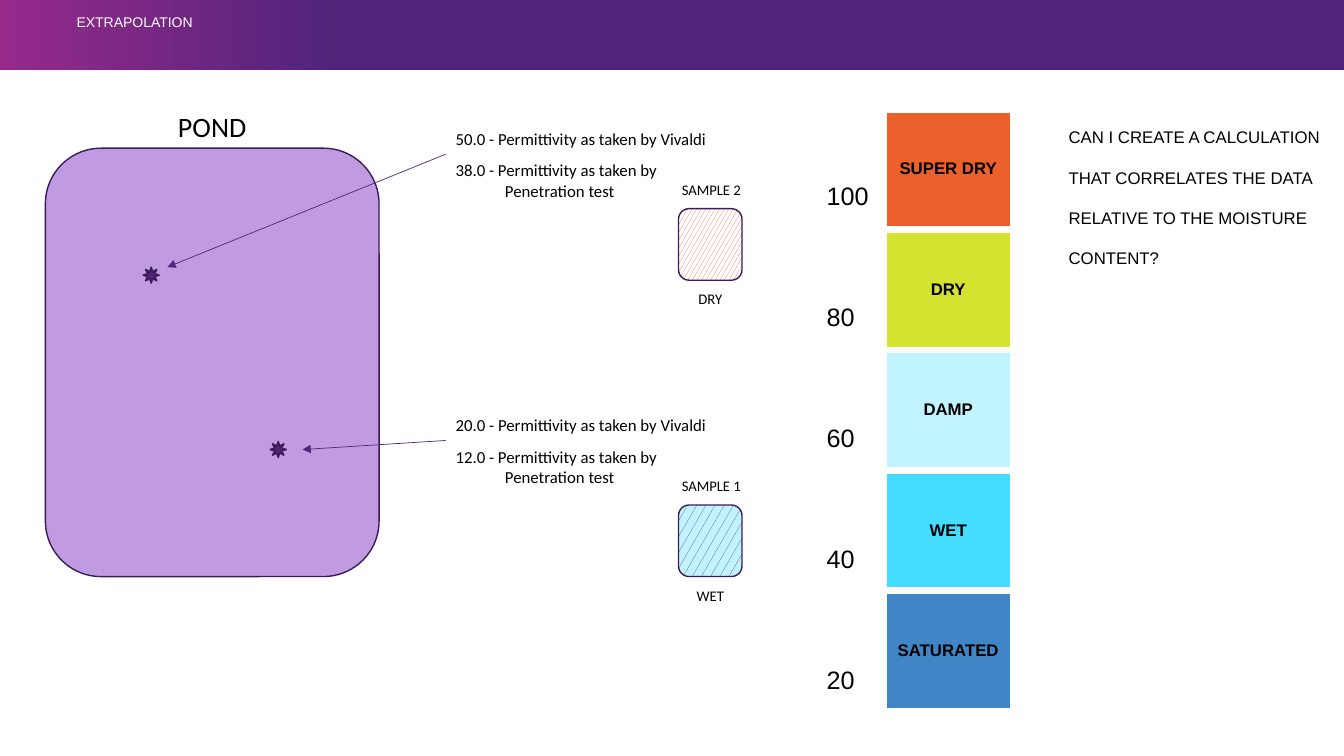
from dataclasses import dataclass

from lxml.etree import SubElement
from pptx import Presentation
from pptx.dml.color import RGBColor
from pptx.enum.dml import MSO_PATTERN as PATTERN
from pptx.enum.shapes import MSO_CONNECTOR as CONNECTOR, MSO_SHAPE as SHAPE
from pptx.enum.text import MSO_ANCHOR as ANCHOR, MSO_AUTO_SIZE as AUTO, PP_ALIGN as ALIGN
from pptx.oxml.ns import qn
from pptx.util import Inches, Pt


@dataclass(frozen=True)
class Theme:
    purple: str = "51247A"
    magenta: str = "962A8B"
    outline: str = "3C1B5A"
    pond: str = "C09BE1"
    white: str = "FFFFFF"
    black: str = "000000"
    orange: str = "EB602B"
    lime: str = "D4E230"
    pale_blue: str = "C1F3FF"
    cyan: str = "44DCFF"
    blue: str = "4085C6"
    heading: str = "Arial"
    label: str = "Calibri"
    title_size: float = 10
    small: float = 10.5
    body: float = 12
    scale: float = 18
    large: float = 20


T = Theme()


def rgb(value):
    return RGBColor.from_string(value)


def set_font(p, size, name, color=T.black, bold=False):
    p.font.size, p.font.name, p.font.bold = Pt(size), name, bold
    p.font.color.rgb = rgb(color)


def add_box(s, kind, x, y, w, h, fill=None, line=None):
    sp = s.shapes.add_shape(kind, Inches(x), Inches(y), Inches(w), Inches(h))
    sp.shadow.inherit = False
    if fill:
        sp.fill.solid()
        sp.fill.fore_color.rgb = rgb(fill)
    if line:
        sp.line.color.rgb = rgb(line)
        sp.line.width = Pt(1)
    else:
        sp.line.fill.background()
    return sp


def add_text(s, x, y, w, h, lines, size, name, align=ALIGN.LEFT, spacing=None, hanging=0):
    tf = s.shapes.add_textbox(Inches(x), Inches(y), Inches(w), Inches(h)).text_frame
    tf.word_wrap = True
    tf.auto_size = AUTO.SHAPE_TO_FIT_TEXT
    tf.text = "\n".join(lines)
    for p in tf.paragraphs:
        set_font(p, size, name)
        p.alignment, p.line_spacing = align, spacing
        if hanging:
            pPr = p._p.get_or_add_pPr()
            pPr.set("marL", str(Inches(hanging)))
            pPr.set("indent", str(-Inches(hanging)))


def add_arrow(s, start, end):
    line = s.shapes.add_connector(CONNECTOR.STRAIGHT, *map(Inches, start + end))
    line.line.color.rgb = rgb(T.purple)
    line.line.width = Pt(0.5)
    SubElement(line.line._get_or_add_ln(), qn("a:tailEnd"), type="triangle")
    SubElement(line._element.spPr, qn("a:effectLst"))


def add_header(s, x, y, w, h):
    band = add_box(s, SHAPE.RECTANGLE, x, y, w, h)
    band.fill.gradient()
    band.fill.gradient_angle = 0
    for stop, color, position in zip(band.fill.gradient_stops, (T.magenta, T.purple), (0, 0.25)):
        stop.color.rgb, stop.position = rgb(color), position

    title = s.shapes.title
    s.shapes._spTree.append(title._element)  # bring the title in front of the band
    title.left, title.top = Inches(x + 0.76), Inches(y + 0.17)
    title.width, title.height = Inches(3.7), Inches(0.26)
    tf = title.text_frame
    tf.text = "EXTRAPOLATION"
    tf.margin_left = tf.margin_right = tf.margin_top = tf.margin_bottom = 0
    tf.vertical_anchor, tf.auto_size = ANCHOR.TOP, AUTO.NONE
    p = tf.paragraphs[0]
    p.alignment, p.line_spacing = ALIGN.LEFT, 0.8
    set_font(p, T.title_size, T.heading, T.white)


def add_pond(s, x, y, w, h):
    caption = 0.43
    add_text(s, x, y, w, caption, ["POND"], T.large, T.label, ALIGN.CENTER)
    add_box(s, SHAPE.ROUNDED_RECTANGLE, x, y + caption, w, h - caption, T.pond, T.outline)
    for dx, dy in ((0.97, 1.61), (2.23, 3.34)):
        add_box(s, SHAPE.SUN, x + dx, y + dy, 0.16, 0.16, T.purple, T.outline)


def add_reading(s, x, y, antenna, penetration, target):
    """Two permittivity values with an arrow to the point where they were taken."""
    add_text(s, x, y, 3.15, 0.3, [f"{antenna} - Permittivity as taken by Vivaldi"],
             T.body, T.label)
    add_text(s, x, y + 0.31, 2.6, 0.5, [f"{penetration} - Permittivity as taken by Penetration test"],
             T.body, T.label, hanging=0.49)
    add_arrow(s, (x, y + 0.3), target)


def add_sample(s, x, y, name, state, pattern, fore, back):
    add_text(s, x, y, 0.87, 0.28, [name], T.small, T.label, ALIGN.CENTER)
    jar = add_box(s, SHAPE.ROUNDED_RECTANGLE, x + 0.11, y + 0.33, 0.63, 0.71, line=T.outline)
    jar.fill.patterned()
    jar.fill.pattern = pattern
    jar.fill.fore_color.rgb, jar.fill.back_color.rgb = rgb(fore), rgb(back)
    add_text(s, x + 0.11, y + 1.09, 0.63, 0.29, [state], T.small, T.label, ALIGN.CENTER)


def add_moisture_scale(s, x, y, w, h):
    levels = (("SUPER DRY", T.orange), ("DRY", T.lime), ("DAMP", T.pale_blue),
              ("WET", T.cyan), ("SATURATED", T.blue))
    cell = 1.14
    step = (h - cell) / (len(levels) - 1)
    for i, (name, color) in enumerate(levels):
        sp = add_box(s, SHAPE.RECTANGLE, x, y + i * step, w, cell, color, T.white)
        tf = sp.text_frame
        tf.text = name
        tf.word_wrap = True
        tf.margin_left = tf.margin_right = tf.margin_top = tf.margin_bottom = Inches(0.03)
        tf.vertical_anchor = ANCHOR.MIDDLE
        p = tf.paragraphs[0]
        p.alignment, p.line_spacing = ALIGN.CENTER, 0.9
        set_font(p, T.body, T.heading, bold=True)
    add_text(s, x - 0.69, y - 0.27, 0.87, 5.91, [str(n) for n in range(100, 0, -20)],
             T.scale, T.heading, spacing=4.0)


def add_question(s, x, y, w, h):
    question = ("CAN I CREATE A CALCULATION THAT CORRELATES THE DATA "
                "RELATIVE TO THE MOISTURE CONTENT?")
    add_text(s, x, y, w, h, [question], T.body, T.heading, spacing=2.0)


def main():
    prs = Presentation()
    prs.slide_width, prs.slide_height = Inches(13.33), Inches(7.5)
    s = prs.slides.add_slide(prs.slide_layouts[5])
    add_header(s, 0, 0, 13.33, 0.69)
    add_pond(s, 0.45, 1.04, 3.31, 4.68)
    add_reading(s, 4.42, 1.23, "50.0", "38.0", (1.66, 2.65))
    add_reading(s, 4.42, 4.07, "20.0", "12.0", (3, 4.46))
    add_sample(s, 6.62, 1.74, "SAMPLE 2", "DRY", PATTERN.LARGE_CONFETTI, T.orange, T.white)
    add_sample(s, 6.62, 4.68, "SAMPLE 1", "WET", PATTERN.SMALL_CONFETTI, T.purple, T.pale_blue)
    add_moisture_scale(s, 8.79, 1.11, 1.23, 5.92)
    add_question(s, 10.5, 1.01, 2.82, 1.65)
    prs.save("out.pptx")


if __name__ == "__main__":
    main()
